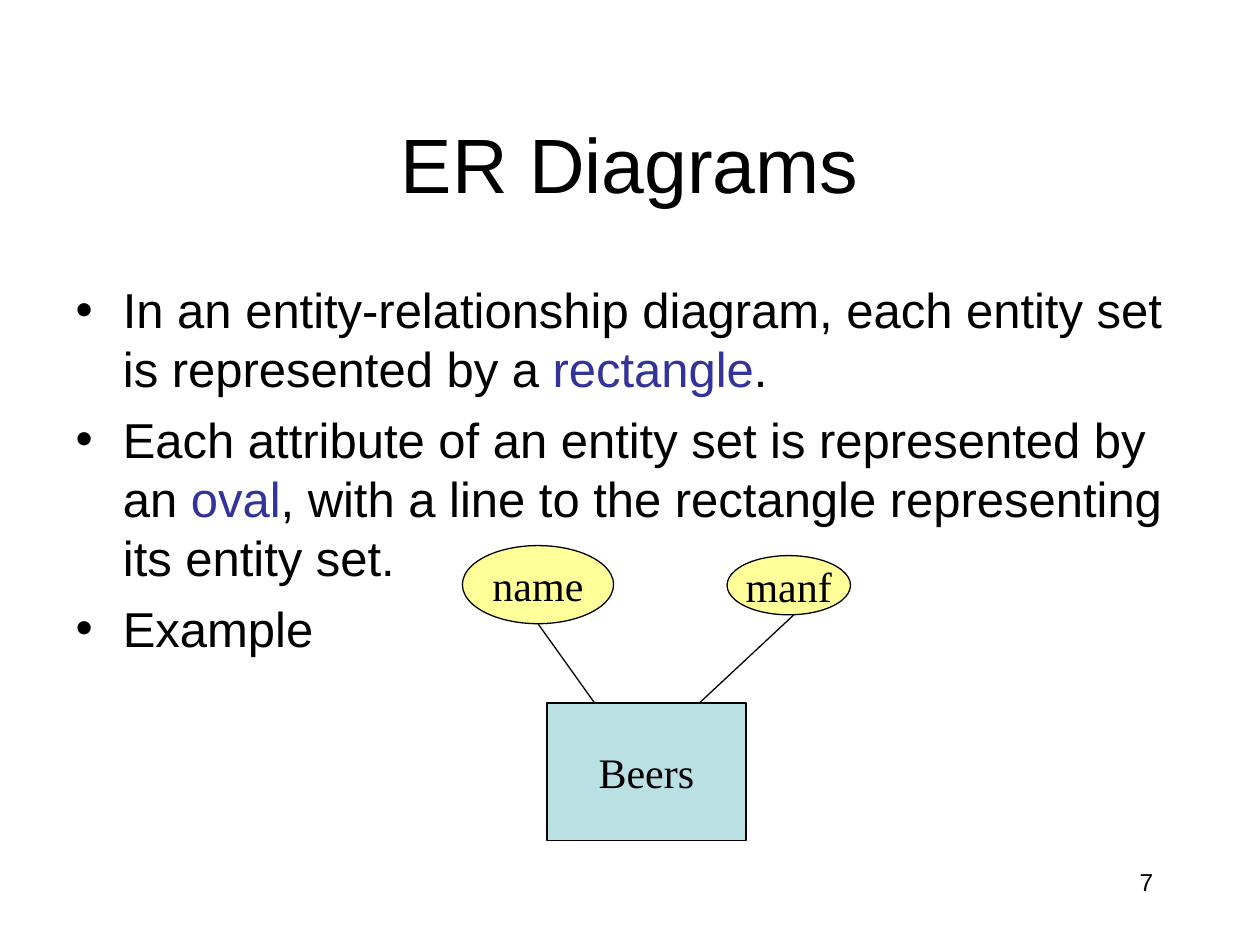
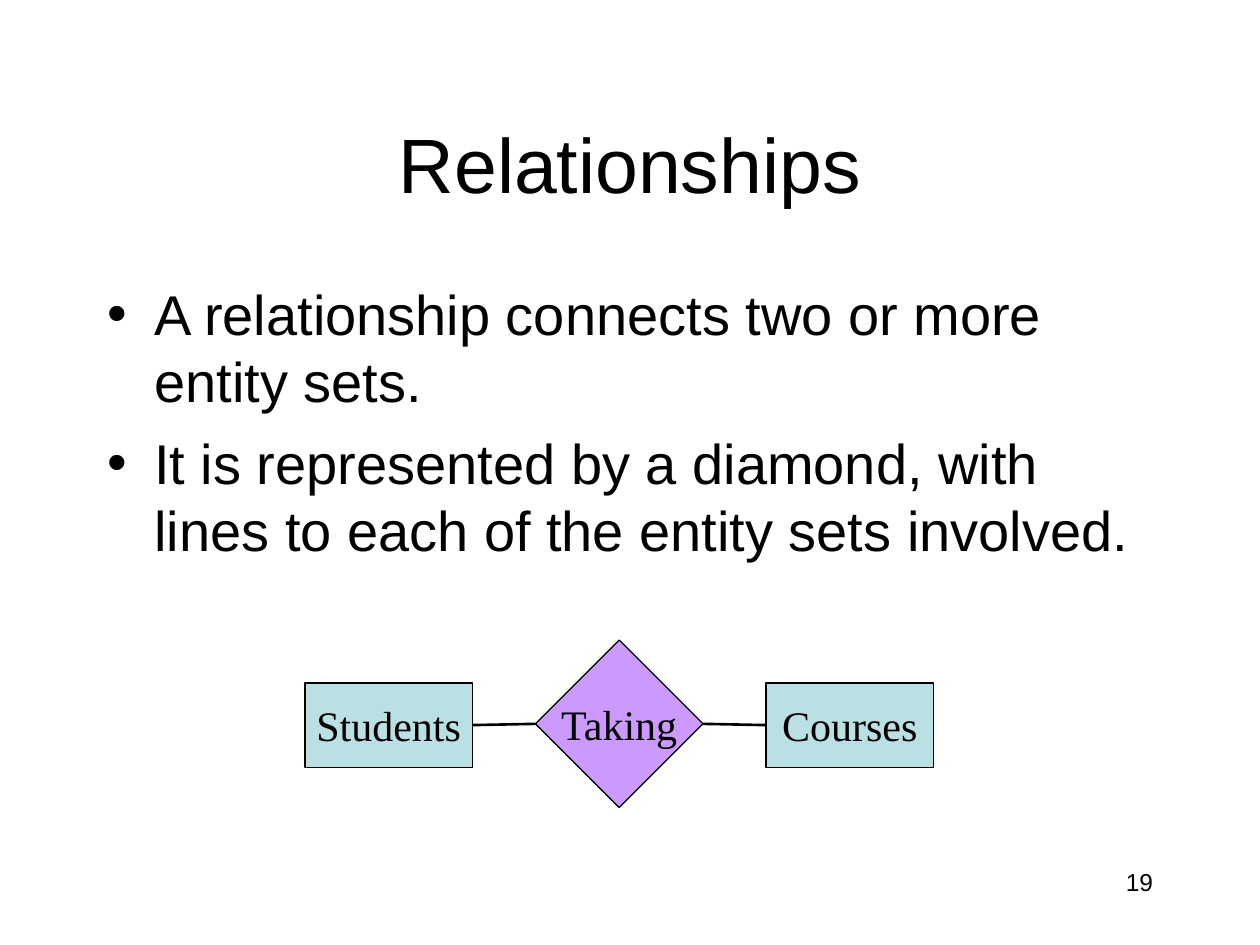
"""Build two slides on entity-relationship diagrams."""
from lxml import etree
from pptx import Presentation
from pptx import util as u
from pptx.dml.color import RGBColor
from pptx.enum import shapes, text
from pptx.oxml.ns import qn

COLORS = {"ink": "000000", "accent": "333399", "entity": "BBE0E3",
          "attribute": "FFFF99", "relationship": "CC99FF"}
SANS, SERIF = "Arial", "Times New Roman"
KINDS = {"entity": shapes.MSO_SHAPE.RECTANGLE,
         "attribute": shapes.MSO_SHAPE.OVAL,
         "relationship": shapes.MSO_SHAPE.DIAMOND}
LEFT, RIGHT = 1, 3

SLIDES = [
    {"title": "ER Diagrams", "number": "7",
     "body_left": 0.5, "body_width": 9.08, "size": 28, "gap": 7,
     "bullets": [
         [("In an entity-relationship diagram, each entity set is represented by a ", "ink"),
          ("rectangle", "accent"), (".", "ink")],
         [("Each attribute of an entity set is represented by an ", "ink"),
          ("oval", "accent"),
          (", with a line to the rectangle representing its entity set.", "ink")],
         [("Example", "ink")]],
     "nodes": [("Beers", "entity", (4.34, 5.58, 1.58, 1.09)),
               ("name", "attribute", (3.67, 4.33, 1.2, 0.62)),
               ("manf", "attribute", (5.77, 4.41, 0.98, 0.47))],
     "lines": [((4.27, 4.95), (4.72, 5.58)), ((6.3, 4.88), (5.55, 5.58))],
     "joins": []},
    {"title": "Relationships", "number": "19",
     "body_left": 0.75, "body_width": 8.5, "size": 32, "gap": 8,
     "bullets": [
         [("A relationship connects two or more entity sets.", "ink")],
         [("It is represented by a diamond, with lines to each of the entity sets involved.",
           "ink")]],
     "nodes": [("Students", "entity", (2.42, 5.42, 1.33, 0.67)),
               ("Courses", "entity", (6.08, 5.42, 1.33, 0.67)),
               ("Taking", "relationship", (4.25, 5.08, 1.33, 1.33))],
     "lines": [],
     "joins": [("Students", "Taking"), ("Taking", "Courses")]},
]


def color(name):
    return RGBColor.from_string(COLORS[name])


def place(shape, left, top, width, height):
    shape.left, shape.top = u.Inches(left), u.Inches(top)
    shape.width, shape.height = u.Inches(width), u.Inches(height)


def style(para, name, size, align):
    para.alignment = align
    para.font.name, para.font.size = name, u.Pt(size)
    para.font.color.rgb = color("ink")


def add_title(page, words):
    title = page.shapes.title
    place(title, 0.75, 0.67, 8.5, 1.25)
    title.text_frame.text = words
    title.text_frame.vertical_anchor = text.MSO_ANCHOR.MIDDLE
    style(title.text_frame.paragraphs[0], SANS, 44, text.PP_ALIGN.CENTER)


def add_bullets(page, content):
    body = page.placeholders[1]
    place(body, content["body_left"], 2.17, content["body_width"], 4.5)
    frame = body.text_frame
    frame.auto_size = text.MSO_AUTO_SIZE.NONE
    for index, spans in enumerate(content["bullets"]):
        para = frame.add_paragraph() if index else frame.paragraphs[0]
        para.space_before = u.Pt(content["gap"] if index else 0)
        style(para, SANS, content["size"], text.PP_ALIGN.LEFT)
        for words, tint in spans:
            span = para.add_run()
            span.text = words
            if tint != "ink":
                span.font.color.rgb = color(tint)


def add_number(page, number):
    box = page.shapes.add_textbox(u.Inches(7.17), u.Inches(6.83),
                                  u.Inches(2.08), u.Inches(0.5))
    box.text_frame.word_wrap = True
    box.text_frame.text = number
    style(box.text_frame.paragraphs[0], SANS, 14, text.PP_ALIGN.RIGHT)


def add_node(page, label, kind, bounds):
    node = page.shapes.add_shape(KINDS[kind], *map(u.Inches, bounds))
    node.shadow.inherit = False
    node.fill.solid()
    node.fill.fore_color.rgb = color(kind)
    node.line.color.rgb = color("ink")
    node.line.width = u.Pt(0.75)
    frame = node.text_frame
    frame.word_wrap = False
    frame.vertical_anchor = text.MSO_ANCHOR.MIDDLE
    frame.text = label
    style(frame.paragraphs[0], SERIF, 24, text.PP_ALIGN.CENTER)
    return node


def add_line(page, start, end, weight):
    line = page.shapes.add_connector(shapes.MSO_CONNECTOR.STRAIGHT,
                                     *map(u.Inches, start + end))
    line.line.color.rgb = color("ink")
    line.line.width = u.Pt(weight)
    etree.SubElement(line._element.spPr, qn("a:effectLst"))
    return line


def add_diagram(page, content):
    nodes = {label: add_node(page, label, kind, bounds)
             for label, kind, bounds in content["nodes"]}
    for start, end in content["lines"]:
        add_line(page, start, end, 0.75)
    for source, target in content["joins"]:
        line = add_line(page, (0, 0), (0, 0), 1.5)
        line.begin_connect(nodes[source], RIGHT)
        line.end_connect(nodes[target], LEFT)


def main():
    deck = Presentation()
    deck.slide_width, deck.slide_height = u.Inches(10), u.Inches(7.5)
    for content in SLIDES:
        page = deck.slides.add_slide(deck.slide_layouts[1])
        add_number(page, content["number"])
        add_title(page, content["title"])
        add_bullets(page, content)
        add_diagram(page, content)
    deck.save("out.pptx")


if __name__ == "__main__":
    main()
